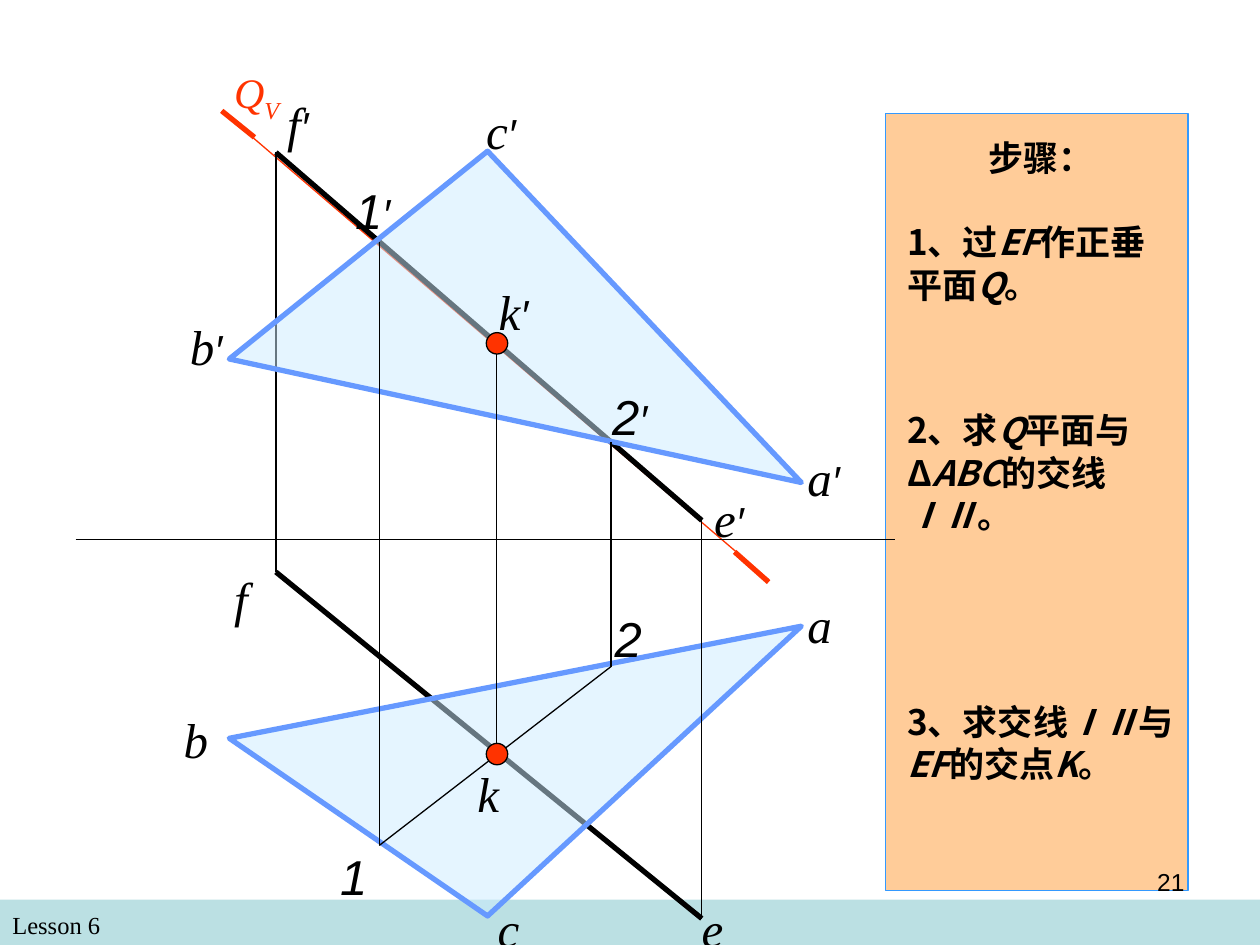
from dataclasses import dataclass

import pptx
import pptx.util
import pptx.dml.color
import pptx.enum.shapes
import pptx.enum.text
import pptx.oxml
import pptx.oxml.ns
from lxml import etree

SERIF, SANS, HAN = "Times New Roman", "Arial", "Noto Sans CJK SC"
BLACK, RED, BLUE = "000000", "FF3300", "6699FF"
SHAPE = pptx.enum.shapes.MSO_SHAPE
ALIGN = pptx.enum.text.PP_ALIGN
qn = pptx.oxml.ns.qn


@dataclass
class Line:
    start: tuple
    end: tuple
    color: str = BLACK
    width: float = 0.75


@dataclass
class Label:
    text: str
    left: float
    top: float
    width: float
    font: str = SERIF
    prime: bool = False
    height: float = 0.57


@dataclass
class Step:
    runs: list
    before: float = 0


def inch(value):
    return pptx.util.Cm(value * 2.54)


def rgb(value):
    return pptx.dml.color.RGBColor.from_string(value)


def add_run(p, text, size=20, font=HAN, color=BLACK, bold=False, italic=False, baseline=0):
    r = p.add_run()
    r.text = text
    f = r.font
    f.size, f.name, f.bold, f.italic = pptx.util.Pt(size), font, bold, italic
    f.color.rgb = rgb(color)
    rPr = r._r.get_or_add_rPr()
    if font == HAN:
        etree.SubElement(rPr, qn("a:ea")).set("typeface", font)
    if baseline:
        rPr.set("baseline", str(baseline * 1000))


def set_frame(sp, left, top, width, height, inset_top=0.05):
    sp.left, sp.top, sp.width, sp.height = map(inch, (left, top, width, height))
    tf = sp.text_frame
    tf.word_wrap = True
    tf.auto_size = pptx.enum.text.MSO_AUTO_SIZE.NONE
    tf.vertical_anchor = pptx.enum.text.MSO_ANCHOR.TOP
    tf.margin_left = tf.margin_right = inch(0.1)
    tf.margin_top, tf.margin_bottom = inch(inset_top), inch(0.05)
    return tf


def add_text(s, left, top, width, height, inset_top=0.05):
    sp = s.shapes.add_textbox(0, 0, 0, 0)
    return set_frame(sp, left, top, width, height, inset_top).paragraphs[0]


def style(sp, fill, line=None, width=0.75):
    sp.shadow.inherit = False
    sp.fill.solid()
    sp.fill.fore_color.rgb = rgb(fill)
    if line:
        sp.line.color.rgb = rgb(line)
        sp.line.width = pptx.util.Pt(width)
    else:
        sp.line.fill.background()


def add_shape(s, kind, left, top, width, height, fill, line=None):
    sp = s.shapes.add_shape(kind, *map(inch, (left, top, width, height)))
    style(sp, fill, line)


def add_line(s, line: Line):
    sp = s.shapes.add_connector(pptx.enum.shapes.MSO_CONNECTOR.STRAIGHT,
                                *map(inch, line.start + line.end))
    sp.line.color.rgb = rgb(line.color)
    sp.line.width = pptx.util.Pt(line.width)
    etree.SubElement(sp._element.spPr, qn("a:effectLst"))


def add_triangle(s, corners):
    points = [tuple(map(inch, corner)) for corner in corners]
    builder = s.shapes.build_freeform(*points[0])
    builder.add_line_segments(points[1:], close=True)
    sp = builder.convert_to_shape()
    style(sp, "CCECFF", BLUE, 3)
    color = sp._element.spPr.find(qn("a:solidFill"))[0]
    etree.SubElement(color, qn("a:alpha")).set("val", "50000")


def add_label(s, label: Label):
    p = add_text(s, label.left, label.top, label.width, label.height, 0.09)
    add_run(p, label.text, size=28, font=label.font, italic=True)
    if label.prime:
        add_run(p, "′", size=24, font=SANS, italic=True)


def add_steps(s, heading, steps):
    title, body = s.shapes.title, s.placeholders[1]
    p = set_frame(title, 7.1, 1.03, 2.33, 0.5).paragraphs[0]
    p.alignment = ALIGN.CENTER
    p.line_spacing = pptx.util.Pt(24.2)
    add_run(p, heading, bold=True)
    tf = set_frame(body, 7.1, 1.7, 2.33, 5)
    for i, step in enumerate(steps):
        p = tf.paragraphs[0] if i == 0 else tf.add_paragraph()
        pPr = p._p.get_or_add_pPr()
        pPr.set("marL", "0")
        pPr.set("indent", "0")
        etree.SubElement(pPr, qn("a:buNone"))
        p.alignment = ALIGN.LEFT
        p.line_spacing = pptx.util.Pt(24.2)
        p.space_before = pptx.util.Pt(step.before)
        for j, text in enumerate(step.runs):
            add_run(p, text, bold=True, italic=j % 2 == 1)
    for sp in (title, body):
        s.shapes.element.append(sp.element)


F2, E2, F1, E1 = (2.19, 1.21), (5.57, 4.13), (2.19, 4.54), (5.57, 7.29)
K2, K1 = (3.94, 2.72), (3.94, 5.98)
ONE2, ONE1, TWO2, TWO1 = (3.01, 1.92), (3.01, 6.71), (4.85, 3.51), (4.85, 5.29)

BACK_LINES = [
    Line((1.76, 0.88), (6.1, 4.6), RED),
    Line((1.76, 0.88), (2.02, 1.09), RED, 3),
    Line((6.1, 4.62), (5.83, 4.38), RED, 3),
    Line(F2, E2, width=3),
    Line(F2, F1),
    Line(F1, E1, width=3),
]
TRIANGLES = [
    [(1.82, 2.85), (3.87, 1.2), (6.36, 3.83)],
    [(3.87, 7.27), (1.82, 5.86), (6.36, 4.97)],
]
FRONT_LINES = [
    Line(E2, E1),
    Line((0.6, 4.28), (7.1, 4.28)),
    Line(ONE1, TWO1),
    Line(K1, K2),
    Line(TWO2, TWO1),
    Line(ONE2, ONE1),
]
LABELS = [
    Label("f", 2.18, 0.65, 1.15, prime=True),
    Label("e", 5.57, 3.79, 0.8, prime=True),
    Label("e", 5.47, 7.04, 0.56),
    Label("f", 1.76, 4.42, 0.56),
    Label("b", 1.36, 5.54, 1.1),
    Label("a", 6.31, 3.46, 1.27, prime=True),
    Label("a", 6.31, 4.63, 0.69),
    Label("c", 3.85, 7.04, 0.69),
    Label("b", 1.41, 2.42, 1.17, prime=True),
    Label("c", 3.76, 0.71, 0.72, prime=True),
    Label("1", 2.72, 1.34, 0.75, SANS, True),
    Label("2", 4.76, 2.98, 0.75, SANS, True),
    Label("2", 4.78, 4.74, 0.75, SANS),
    Label("1", 2.6, 6.63, 0.75, SANS),
    Label("k", 3.69, 5.97, 0.56),
    Label("k", 3.86, 2.14, 0.56, prime=True, height=1.18),
]
STEPS = [
    Step(["1、过", "EF", "作正垂平面", "Q", "。"]),
    Step(["2、求", "Q", "平面与Δ", "ABC", "的交线", "ⅠⅡ", "。"], 59),
    Step(["3、求交线", "ⅠⅡ", "与", "EF", "的交点", "K", "。"], 94),
]


def main():
    prs = pptx.Presentation()
    prs.slide_width, prs.slide_height = inch(10), inch(7.5)
    s = prs.slides.add_slide(prs.slide_layouts[1])
    add_shape(s, SHAPE.RECTANGLE, 0, 7.14, 10, 0.36, "BBE0E3")
    add_run(add_text(s, 0, 7.17, 4.83, 0.34), "Lesson 6", size=14, font=SERIF)
    add_shape(s, SHAPE.RECTANGLE, 7.03, 0.9, 2.4, 6.17, "FFCC99", "3399FF")
    for line in BACK_LINES:
        add_line(s, line)
    for corners in TRIANGLES:
        add_triangle(s, corners)
    for line in FRONT_LINES:
        add_line(s, line)
    for x, y in (K1, K2):
        add_shape(s, SHAPE.OVAL, x - 0.08, y - 0.08, 0.17, 0.17, RED, BLACK)
    for label in LABELS:
        add_label(s, label)
    p = add_text(s, 1.76, 0.44, 0.75, 0.56, 0.09)
    add_run(p, "Q", size=24, font=SERIF, color=RED, italic=True)
    add_run(p, "V", size=24, font=SERIF, color=RED, italic=True, baseline=-25)
    add_steps(s, "步骤：", STEPS)
    p = add_text(s, 7.17, 6.83, 2.33, 0.52)
    p.alignment = ALIGN.RIGHT
    add_run(p, "21", size=14, font=SANS)
    prs.save("out.pptx")


if __name__ == "__main__":
    main()
